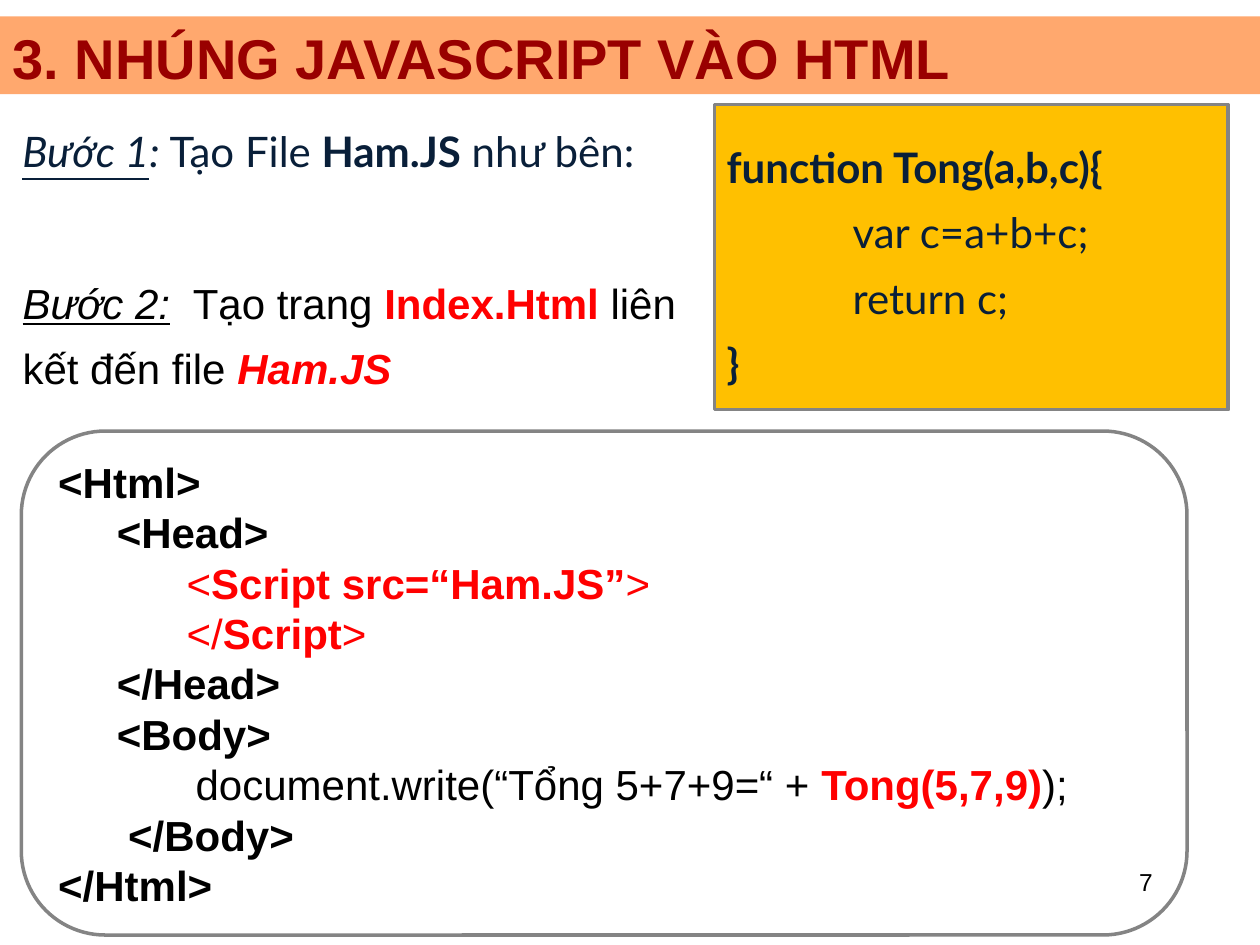
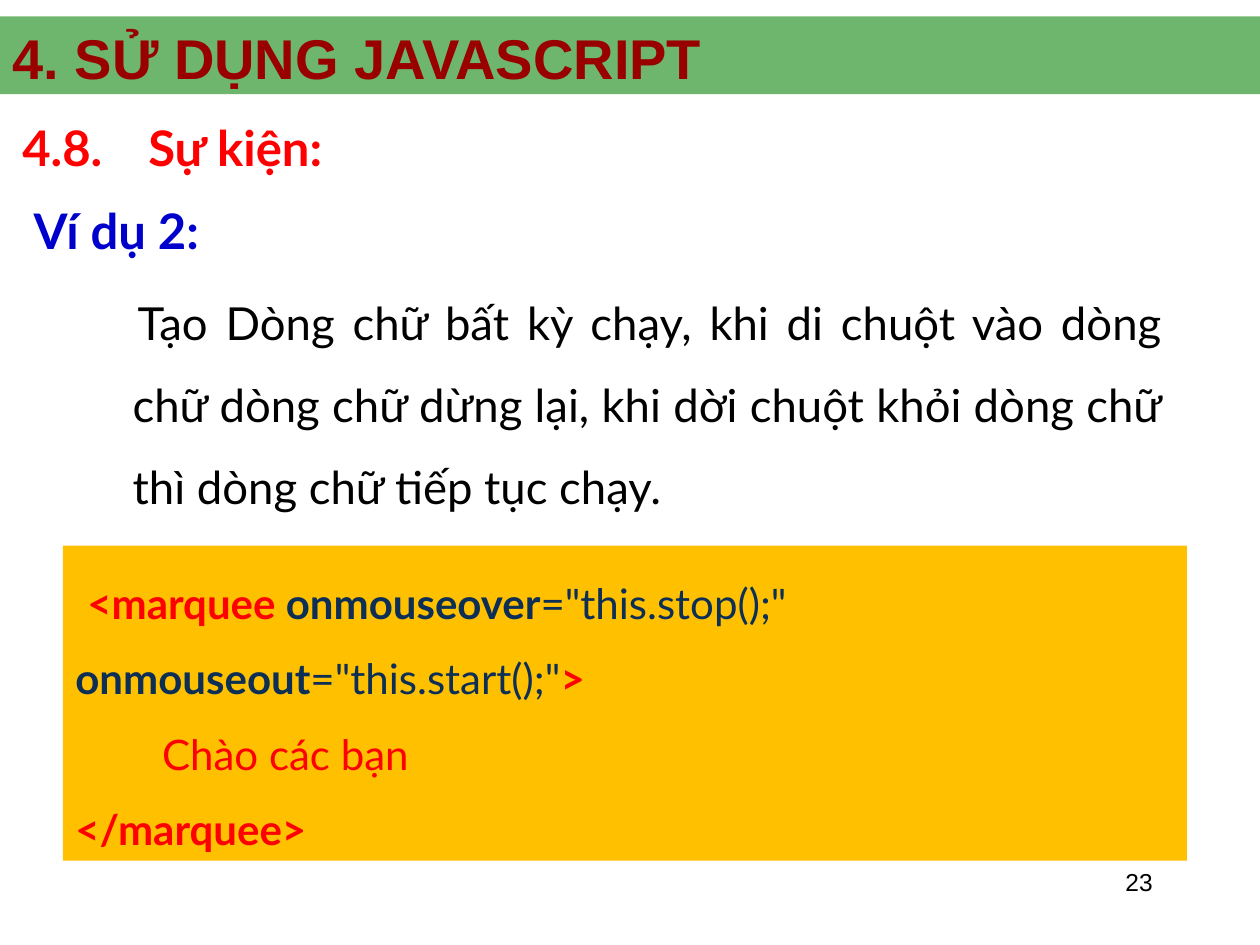
import pptx
import pptx.dml.color
import pptx.enum.shapes
import pptx.enum.text
import pptx.oxml
import pptx.oxml.ns
import pptx.util

Cm, Pt = pptx.util.Cm, pptx.util.Pt
SHAPE = pptx.enum.shapes.MSO_SHAPE
ALIGN = pptx.enum.text.PP_ALIGN
ANCHOR = pptx.enum.text.MSO_ANCHOR

# Colours and formats shared by the slides
RED, BLACK, NAVY, STEEL, BLUE = "FF0000", "000000", "091F39", "0D2F55", "0000CC"
MAROON, AMBER, GREY = "990000", "FFC000", "848484"
BAND_OPACITY = 57
TITLE = dict(name="Arial", size=Pt(32), bold=True)
NUMBER = dict(name="Arial", size=Pt(14))
HEADING = dict(name="Lato", size=Pt(28))
LATO = dict(name="Lato", size=Pt(24))
ARIAL = dict(name="Arial", size=Pt(24))
STYLES = {"b": "bold", "i": "italic", "u": "underline"}

# Places in cm: left, top, width, height
BAND_AT = (0, 0.33, 25.4, 1.57)
TITLE_AT = (0, 0.61, 25.4, 1.07)
NUMBER_AT = (18.21, 17.35, 5.28, 1.27)

# Content: a paragraph is (left indent, first-line indent, runs);
# a run is (text, colour, style letters)
FUNCTION_CODE = [
    (0, 0, [("function Tong(a,b,c){", NAVY, "b")]),
    (2.54, 0, [("var c=a+b+c;", NAVY, "")]),
    (2.54, 0, [("return c;", NAVY, "")]),
    (0, 0, [("}", NAVY, "b")]),
]
STEP_1 = [(0, 0, [
    ("Bước 1", NAVY, "iu"), (": ", NAVY, "i"), ("Tạo File ", NAVY, ""),
    ("Ham.JS", NAVY, "b"), (" như bên:", NAVY, ""),
])]
STEP_2 = [(0, 0, [
    ("Bước 2:", BLACK, "iu"), (" ", BLACK, "i"), (" Tạo trang ", BLACK, ""),
    ("Index.Html", RED, "b"), (" liên kết đến file ", BLACK, ""),
    ("Ham.JS", RED, "bi"),
])]
HTML_PAGE = [
    (0, 0, [("<Html>", BLACK, "b")]),
    (1.18, 0, [("<Head>", BLACK, "b")]),
    (2.59, 0, [("<", RED, ""), ("Script src=“Ham.JS”", RED, "b"), (">", RED, "")]),
    (2.59, 0, [("</", RED, ""), ("Script", RED, "b"), (">", RED, "")]),
    (1.18, 0, [("</Head>", BLACK, "b")]),
    (1.18, 0, [("<Body>", BLACK, "b")]),
    (2.77, 0, [("document.write(“Tổng 5+7+9=“ + ", BLACK, ""),
               ("Tong(5,7,9)", RED, "b"), (");", BLACK, "")]),
    (1.41, 0, [("</Body>", BLACK, "b")]),
    (0, 0, [("</Html>", BLACK, "b")]),
]
SECTION = [(0, 0, [("4.8.\tSự kiện:", RED, "b")])]
EXAMPLE = [(0, 0, [("Ví dụ 2:", BLUE, "b")])]
TASK = [(0.95, 0.1, [(
    "Tạo Dòng chữ bất kỳ chạy, khi di chuột vào dòng chữ dòng chữ dừng lại, "
    "khi dời chuột khỏi dòng chữ thì dòng chữ tiếp tục chạy.", BLACK, "")])]
MARQUEE_CODE = [
    (0, 0.24, [("<marquee ", RED, "b"), ("onmouseover", STEEL, "b"),
               ('="this.stop();" ', STEEL, ""), ("onmouseout", STEEL, "b"),
               ('="this.start();"', STEEL, ""), (">", RED, "b")]),
    (1.75, 0, [("Chào các bạn", RED, "")]),
    (0, 0, [("</marquee>", RED, "b")]),
]


def rgb(color):
    return pptx.dml.color.RGBColor.from_string(color)


def apply(target, values):
    for name, value in values.items():
        setattr(target, name, value)


def place(sp, at):
    apply(sp, dict(zip(("left", "top", "width", "height"), map(Cm, at))))


def write(sp, paragraphs, font, anchor=ANCHOR.TOP, align=ALIGN.LEFT,
          spacing=1.0, before=0):
    """Fill a shape with formatted paragraphs."""
    tf = sp.text_frame
    apply(tf, dict(word_wrap=True, vertical_anchor=anchor,
                   auto_size=pptx.enum.text.MSO_AUTO_SIZE.NONE))
    for i, (left, first, runs) in enumerate(paragraphs):
        p = tf.add_paragraph() if i else tf.paragraphs[0]
        apply(p, dict(alignment=align, line_spacing=spacing,
                      space_before=Pt(before)))
        pPr = p._p.get_or_add_pPr()
        pPr.set("marL", str(int(Cm(left))))
        pPr.set("indent", str(int(Cm(first))))
        pptx.oxml.ns.qn("a:buNone")
        pPr.append(pptx.oxml.parse_xml(
            "<a:buNone %s/>" % pptx.oxml.ns.nsdecls("a")))
        for text, color, style in runs:
            r = p.add_run()
            r.text = text
            apply(r.font, font)
            apply(r.font, {name: key in style or name == "bold" and font.get(name, False)
                           for key, name in STYLES.items()})
            r.font.color.rgb = rgb(color)


def add_text(s, at, *args, **kwargs):
    write(s.shapes.add_textbox(*map(Cm, at)), *args, **kwargs)


def add_box(s, kind, at, fill=None, line=None):
    sp = s.shapes.add_shape(kind, *map(Cm, at))
    sp.shadow.inherit = False
    if fill:
        sp.fill.solid()
        sp.fill.fore_color.rgb = rgb(fill)
    else:
        sp.fill.background()
    if line:
        sp.line.color.rgb = rgb(line)
        sp.line.width = Pt(2)
    else:
        sp.line.fill.background()
    return sp


def add_slide(prs, title, band_color, number):
    """Add a slide with its band, title and number."""
    s = prs.slides.add_slide(prs.slide_layouts[1])
    band = add_box(s, SHAPE.RECTANGLE, BAND_AT, band_color)
    color = band._element.spPr.find(".//" + pptx.oxml.ns.qn("a:srgbClr"))
    color.append(pptx.oxml.parse_xml('<a:alpha %s val="%d"/>' % (
        pptx.oxml.ns.nsdecls("a"), BAND_OPACITY * 1000)))
    s.shapes._spTree.insert(2, band._element)  # behind the title
    place(s.shapes.title, TITLE_AT)
    write(s.shapes.title, [(0, 0, [(title, MAROON, "b")])], TITLE, ANCHOR.MIDDLE)
    add_text(s, NUMBER_AT, [(0, 0, [(number, BLACK, "")])], NUMBER, align=ALIGN.RIGHT)
    return s


def add_embedding_slide(prs):
    s = add_slide(prs, "3. NHÚNG JAVASCRIPT VÀO HTML", "FF6600", "7")
    # Script file
    sp = add_box(s, SHAPE.ROUNDED_RECTANGLE, (14.4, 2.11, 10.36, 6.15), AMBER, GREY)
    sp.adjustments[0] = 0
    write(sp, FUNCTION_CODE, LATO, ANCHOR.MIDDLE, spacing=1.3)
    # Steps
    add_text(s, (0.2, 2.11, 13.97, 1.57), STEP_1, LATO, spacing=1.3)
    body = s.placeholders[1]
    place(body, (0.2, 5.16, 13.97, 2.9))
    write(body, STEP_2, ARIAL, spacing=1.3)
    # Page that loads the script
    sp = add_box(s, SHAPE.ROUNDED_RECTANGLE, (0.43, 8.69, 23.5, 10.16), line=GREY)
    write(sp, HTML_PAGE, ARIAL, ANCHOR.MIDDLE)


def add_event_slide(prs):
    s = add_slide(prs, "4. SỬ DỤNG JAVASCRIPT", "008000", "23")
    # Headings and task
    add_text(s, (0.2, 2.11, 24.13, 1.7), SECTION, HEADING, ANCHOR.MIDDLE)
    add_text(s, (0.43, 3.99, 24.13, 1.3), EXAMPLE, HEADING, ANCHOR.MIDDLE)
    body = s.placeholders[1]
    place(body, (1.47, 5.28, 22.23, 4.88))
    write(body, TASK, dict(LATO, size=Pt(26)), align=ALIGN.JUSTIFY,
          spacing=1.5, before=5)
    # Marquee code
    sp = add_box(s, SHAPE.RECTANGLE, (1.27, 11, 22.66, 6.35), AMBER)
    write(sp, MARQUEE_CODE, LATO, spacing=1.5)


def main():
    prs = pptx.Presentation()
    prs.slide_width, prs.slide_height = Cm(25.4), Cm(19.05)
    add_embedding_slide(prs)
    add_event_slide(prs)
    prs.save("out.pptx")


if __name__ == "__main__":
    main()
